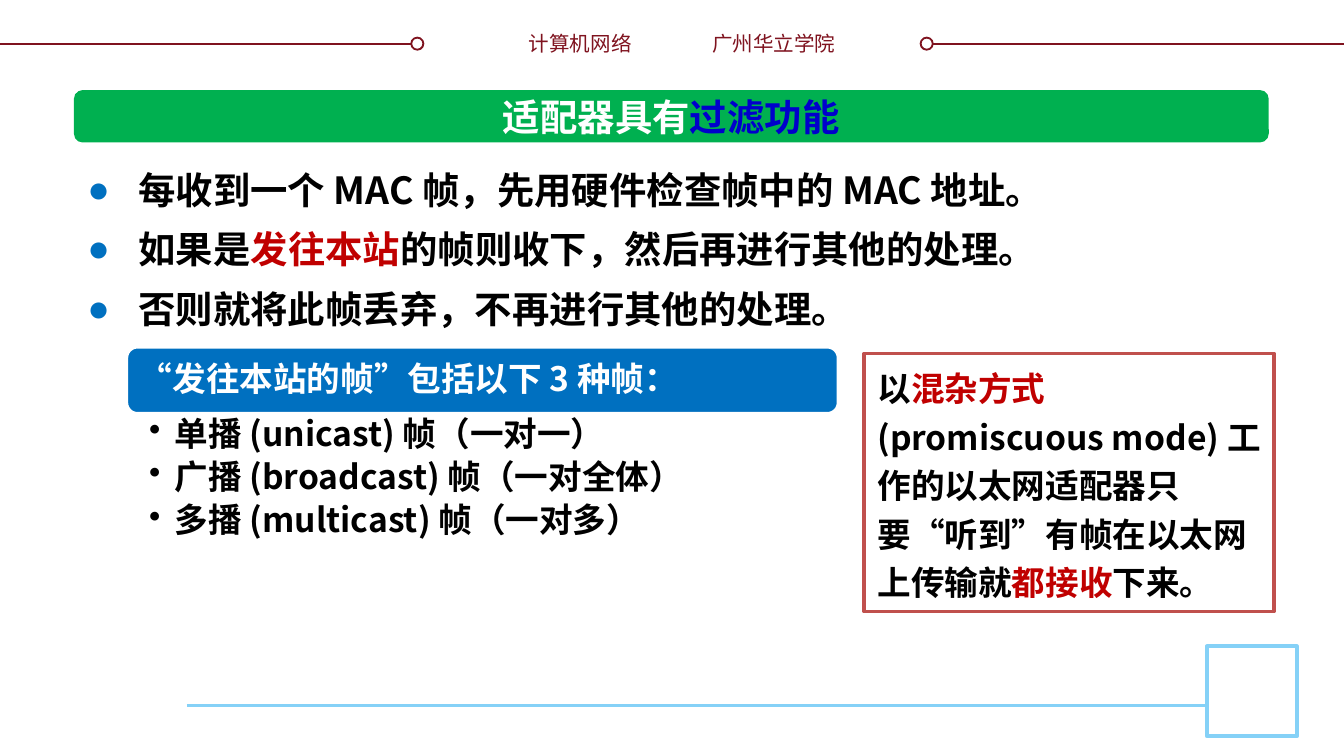
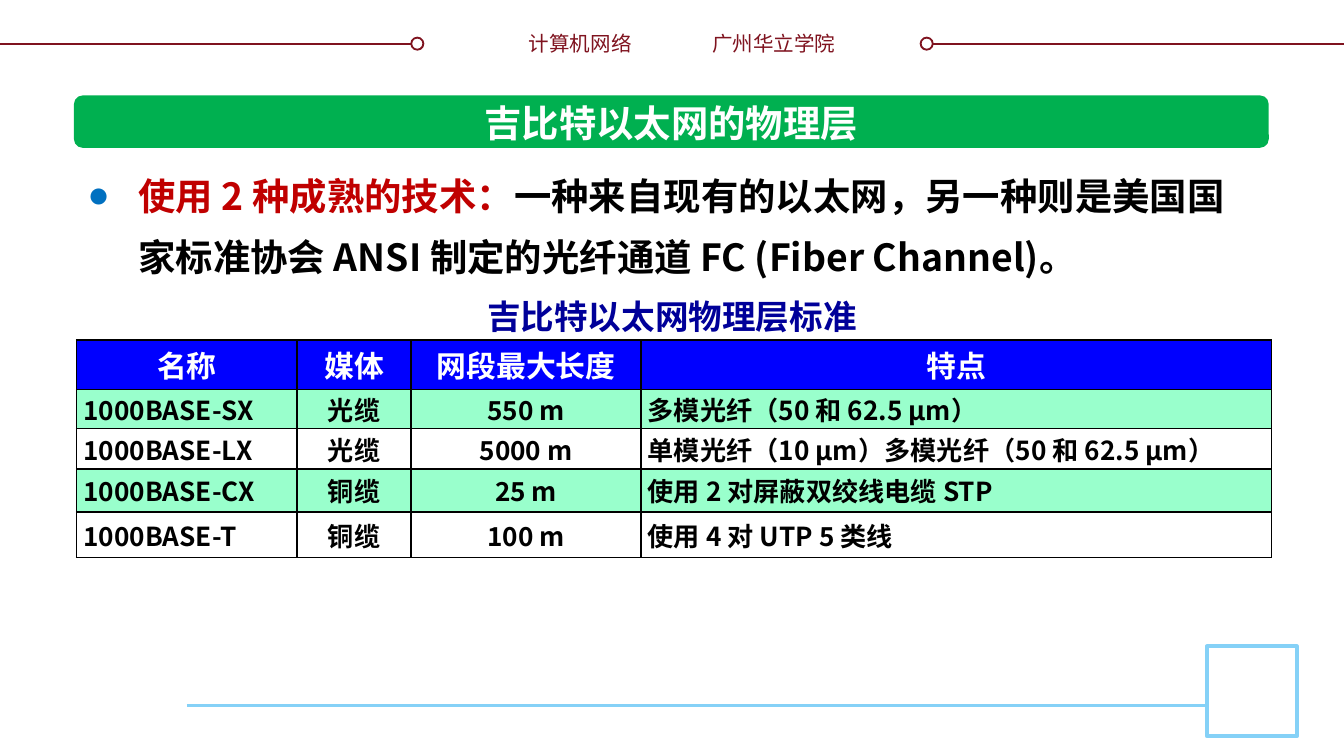
from collections import namedtuple
from dataclasses import dataclass

from lxml import etree
from pptx import Presentation
from pptx import util as u
from pptx.dml.color import RGBColor
from pptx.enum import shapes, text
from pptx.oxml import ns

Box = namedtuple("Box", "left top width height")
ALIGN = text.PP_ALIGN
MIDDLE = text.MSO_ANCHOR.MIDDLE
KIND = shapes.MSO_SHAPE


@dataclass(frozen=True)
class Theme:
    """Colours, type sizes and the font of the deck."""
    font: str = "Noto Sans CJK SC"
    black: str = "000000"
    white: str = "FFFFFF"
    maroon: str = "7F131F"
    sky: str = "85D1F7"
    green: str = "00B050"
    blue: str = "0070C0"
    red: str = "C00000"
    brick: str = "C0504D"
    title_accent: str = "0000CC"
    caption: str = "000099"
    table_head: str = "0000FF"
    table_band: str = "99FFCC"
    header_size: int = 11
    title_size: int = 20
    body_size: int = 20
    panel_size: int = 18
    head_size: int = 16
    cell_size: int = 14


THEME = Theme()


def rgb(value):
    """Turn a hex value into a colour."""
    return RGBColor.from_string(value)


def apply_format(target, values):
    """Set each named attribute on the target."""
    for name, value in values.items():
        setattr(target, name, value)


def place(shape, box):
    """Move and size a shape to a box given in inches."""
    apply_format(shape, {name: u.Inches(value) for name, value in box._asdict().items()})


def sub_element(parent, tag, **attributes):
    """Append a DrawingML element to the parent."""
    return etree.SubElement(parent, ns.qn(tag), attributes)


def add_bullet(paragraph, character, indent, color):
    """Give a paragraph a coloured bullet with a hanging indent."""
    properties = paragraph._p.get_or_add_pPr()
    properties.set("marL", str(u.Inches(indent)))
    properties.set("indent", str(-u.Inches(indent)))
    sub_element(sub_element(properties, "a:buClr"), "a:srgbClr", val=color)
    sub_element(properties, "a:buChar", char=character)


def write(frame, paragraphs, size, color=THEME.black, bold=True, bullet=None,
          frame_format=None, **paragraph_format):
    """Fill a frame with paragraphs, each a list of strings or (string, colour) pairs."""
    apply_format(frame, {"word_wrap": True, "auto_size": text.MSO_AUTO_SIZE.NONE,
                         **(frame_format or {})})
    for index, runs in enumerate(paragraphs):
        paragraph = frame.add_paragraph() if index else frame.paragraphs[0]
        apply_format(paragraph, {"space_before": u.Pt(0), **paragraph_format})
        if bullet:
            add_bullet(paragraph, *bullet)
        for item in runs:
            words, shade = (item, color) if isinstance(item, str) else item
            run = paragraph.add_run()
            run.text = words
            apply_format(run.font, {"size": u.Pt(size), "bold": bold, "name": THEME.font})
            run.font.color.rgb = rgb(shade)
            sub_element(run._r.get_or_add_rPr(), "a:ea", typeface=THEME.font)


def insets(left, top, right, bottom):
    """Give frame margins from lengths in inches."""
    names = ("margin_left", "margin_top", "margin_right", "margin_bottom")
    return dict(zip(names, map(u.Inches, (left, top, right, bottom))))


def add_box(slide, kind, box, fill, line=None, weight=1):
    """Draw a flat preset shape."""
    shape = slide.shapes.add_shape(kind, *map(u.Inches, box))
    shape.shadow.inherit = False
    shape.fill.solid()
    shape.fill.fore_color.rgb = rgb(fill)
    if line:
        shape.line.color.rgb = rgb(line)
        shape.line.width = u.Pt(weight)
    else:
        shape.line.fill.background()
    return shape


def add_text(slide, box, paragraphs, size, **options):
    """Add a text box."""
    textbox = slide.shapes.add_textbox(*map(u.Inches, box))
    write(textbox.text_frame, paragraphs, size, **options)


def add_line(slide, left, right, y, color, weight):
    """Draw a horizontal line."""
    line = slide.shapes.add_connector(
        shapes.MSO_CONNECTOR.STRAIGHT, *map(u.Inches, (left, y, right, y)))
    line.line.color.rgb = rgb(color)
    line.line.width = u.Pt(weight)
    sub_element(line._element.spPr, "a:effectLst")


def add_header(slide, box):
    """Draw the two ringed rules and the course and school names."""
    ring, reach = 0.09, 3.15
    middle = box.top + box.height / 2
    right = box.left + box.width
    for start, end, ring_left in (
            (box.left, box.left + reach, box.left + reach - ring),
            (right - reach, right, right - reach)):
        add_line(slide, start, end, middle, THEME.maroon, 1)
        add_box(slide, KIND.OVAL, Box(ring_left, middle - ring / 2, ring, ring),
                THEME.white, THEME.maroon)
    for name, left, width, alignment in (
            ("计算机网络", 3.83, 0.97, ALIGN.RIGHT),
            ("广州华立学院", 5.2, 1.16, ALIGN.LEFT)):
        add_text(slide, Box(box.left + left, box.top, width, box.height), [[name]],
                 THEME.header_size, color=THEME.maroon, bold=False, alignment=alignment,
                 frame_format={"vertical_anchor": MIDDLE, "word_wrap": False})


def add_footer(slide, box):
    """Draw the footer rule and the square at its right end."""
    square_left = box.left + box.width - box.height
    add_line(slide, box.left, square_left, box.top + 0.44, THEME.sky, 1.5)
    add_box(slide, KIND.RECTANGLE, Box(square_left, box.top, box.height, box.height),
            THEME.white, THEME.sky, 2)


def add_title(slide, box, runs, width):
    """Draw the green band and centre the title on it."""
    band = add_box(slide, KIND.ROUNDED_RECTANGLE, box, THEME.green)
    title = slide.shapes.title
    place(title, Box(box.left + (box.width - width) / 2, box.top - 0.02, width, 0.44))
    write(title.text_frame, [runs], THEME.title_size, color=THEME.white,
          alignment=ALIGN.CENTER,
          frame_format={"vertical_anchor": MIDDLE, "word_wrap": False})
    band._element.addnext(title._element)


def add_body(slide, box, paragraphs, spacing):
    """Fill the body placeholder with a bulleted list."""
    body = slide.placeholders[1]
    place(body, box)
    write(body.text_frame, paragraphs, THEME.body_size, bullet=("●", 0.38, THEME.blue),
          line_spacing=u.Pt(spacing), alignment=ALIGN.LEFT,
          frame_format={"vertical_anchor": text.MSO_ANCHOR.TOP})


def add_frame_kinds(slide, box, heading, kinds):
    """Draw a blue heading with a short list below it."""
    head_height = 0.5
    head = add_box(slide, KIND.ROUNDED_RECTANGLE, box._replace(height=head_height),
                   THEME.blue, THEME.white, 2)
    write(head.text_frame, [[heading]], THEME.panel_size, color=THEME.white,
          line_spacing=0.9, alignment=ALIGN.LEFT,
          frame_format={"vertical_anchor": MIDDLE, **insets(0.07, 0.07, 0.07, 0.07)})
    add_text(slide, box._replace(top=box.top + head_height, height=box.height - head_height),
             [[kind] for kind in kinds], THEME.panel_size,
             bullet=("•", 0.19, THEME.black), line_spacing=0.9, space_after=u.Pt(3.6),
             frame_format=insets(0.17, 0.03, 0.14, 0.03))


def add_note(slide, box, runs):
    """Draw a bordered note."""
    note = add_box(slide, KIND.RECTANGLE, box, THEME.white, THEME.brick, 2)
    write(note.text_frame, [runs], THEME.panel_size, line_spacing=u.Pt(26),
          alignment=ALIGN.LEFT, frame_format={"vertical_anchor": text.MSO_ANCHOR.TOP})


def add_borders(cell):
    """Draw a thin black border around a cell."""
    properties = cell._tc.get_or_add_tcPr()
    for index, side in enumerate(("a:lnL", "a:lnR", "a:lnT", "a:lnB")):
        line = etree.Element(ns.qn(side), w=str(u.Pt(1)))
        sub_element(sub_element(line, "a:solidFill"), "a:srgbClr", val=THEME.black)
        properties.insert(index, line)


def add_standards_table(slide, box, rows, widths, heights):
    """Draw a table with a blue head and striped rows."""
    table = slide.shapes.add_table(len(rows), len(widths), *map(u.Inches, box)).table
    apply_format(table, {"first_row": False, "horz_banding": False})
    for column, width in zip(table.columns, widths):
        column.width = u.Inches(width)
    for row_index, (row, values, height) in enumerate(zip(table.rows, rows, heights)):
        row.height = u.Inches(height)
        is_head = row_index == 0
        stripe = THEME.table_band if row_index % 2 else THEME.white
        for column_index, (cell, value) in enumerate(zip(row.cells, values)):
            centred = is_head or column_index in (1, 2)
            apply_format(cell, {"vertical_anchor": MIDDLE, **insets(0.05, 0, 0.05, 0)})
            cell.fill.solid()
            cell.fill.fore_color.rgb = rgb(THEME.table_head if is_head else stripe)
            add_borders(cell)
            write(cell.text_frame, [[value]],
                  THEME.head_size if is_head else THEME.cell_size,
                  color=THEME.white if is_head else THEME.black,
                  alignment=ALIGN.CENTER if centred else ALIGN.LEFT)


def add_slide(presentation):
    """Add a slide with the shared header and footer."""
    slide = presentation.slides.add_slide(presentation.slide_layouts[1])
    add_header(slide, Box(0, 0.18, 10, 0.29))
    add_footer(slide, Box(1.39, 4.81, 8.26, 0.67))
    return slide


def build_filter_slide(presentation):
    """Build the slide on how the adapter filters frames."""
    slide = add_slide(presentation)
    add_title(slide, Box(0.55, 0.67, 8.89, 0.39),
              ["适配器具有", ("过滤功能", THEME.title_accent)], 2.73)
    add_body(slide, Box(0.55, 1.08, 9.02, 1.45), [
        ["每收到一个 MAC 帧，先用硬件检查帧中的 MAC 地址。"],
        ["如果是", ("发往本站", THEME.red), "的帧则收下，然后再进行其他的处理。"],
        ["否则就将此帧丢弃，不再进行其他的处理。"],
    ], 32)
    add_frame_kinds(slide, Box(0.94, 2.58, 5.3, 2.04), "“发往本站的帧”包括以下 3 种帧：", [
        "单播 (unicast) 帧（一对一）",
        "广播 (broadcast) 帧（一对全体）",
        "多播 (multicast) 帧（一对多）",
    ])
    add_note(slide, Box(6.43, 2.63, 3.05, 1.92), [
        "以", ("混杂方式 ", THEME.red),
        "(promiscuous mode) 工作的以太网适配器只要“听到”有帧在以太网上传输就",
        ("都接收", THEME.red), "下来。",
    ])


def build_gigabit_slide(presentation):
    """Build the slide on the gigabit physical layer."""
    slide = add_slide(presentation)
    add_title(slide, Box(0.55, 0.71, 8.89, 0.39), ["吉比特以太网的物理层"], 3.09)
    add_body(slide, Box(0.55, 1.11, 8.89, 1.03), [[
        ("使用 2 种成熟的技术：", THEME.red),
        "一种来自现有的以太网，另一种则是美国国家标准协会 ANSI 制定的光纤通道 FC (Fiber Channel)。",
    ]], 33)
    add_standards_table(slide, Box(0.57, 2.53, 8.89, 1.62), [
        ("名称", "媒体", "网段最大长度", "特点"),
        ("1000BASE-SX", "光缆", "550 m", "多模光纤（50 和 62.5 μm）"),
        ("1000BASE-LX", "光缆", "5000 m", "单模光纤（10 μm）多模光纤（50 和 62.5 μm）"),
        ("1000BASE-CX", "铜缆", "25 m", "使用 2 对屏蔽双绞线电缆 STP"),
        ("1000BASE-T", "铜缆", "100 m", "使用 4 对 UTP 5 类线"),
    ], (1.64, 0.85, 1.71, 4.69), (0.37, 0.29, 0.3, 0.32, 0.34))
    add_text(slide, Box(3.51, 2.15, 2.98, 0.4), [["吉比特以太网物理层标准"]],
             THEME.panel_size, color=THEME.caption, alignment=ALIGN.CENTER,
             frame_format={"vertical_anchor": MIDDLE, "word_wrap": False})


def main():
    """Build and save the deck in a 16:9 format."""
    presentation = Presentation()
    width = u.Inches(10)
    apply_format(presentation, {"slide_width": width, "slide_height": width * 9 // 16})
    build_filter_slide(presentation)
    build_gigabit_slide(presentation)
    presentation.save("out.pptx")


if __name__ == "__main__":
    main()
